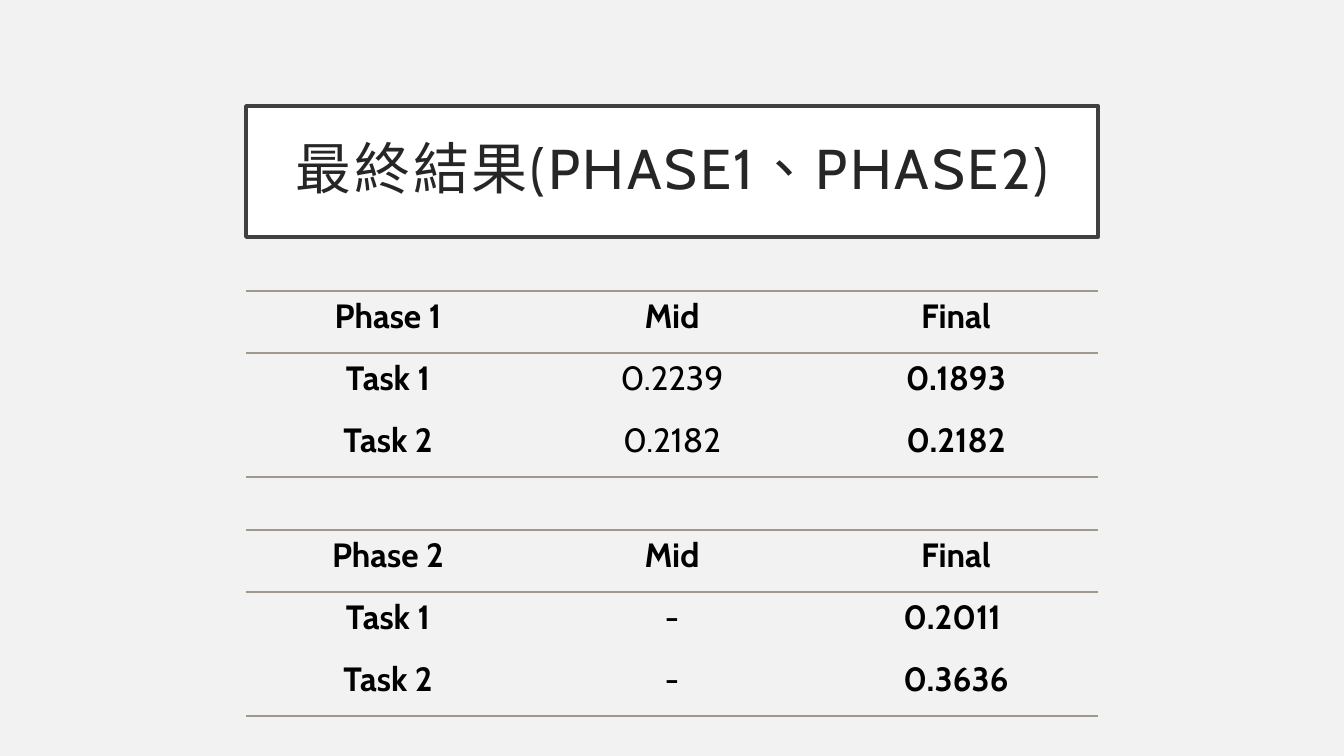
"""Builds the final results slide with a score table for each phase."""
import pptx
import pptx.dml.color
import pptx.enum.shapes
import pptx.enum.text
import pptx.oxml
import pptx.oxml.ns
import pptx.util

PX = 914400 / 100.8
BACKGROUND = pptx.dml.color.RGBColor(0xF2, 0xF2, 0xF2)
WHITE = pptx.dml.color.RGBColor(0xFF, 0xFF, 0xFF)
FRAME = pptx.dml.color.RGBColor(0x40, 0x40, 0x40)
TITLE_INK = pptx.dml.color.RGBColor(0x26, 0x26, 0x26)
BLACK = pptx.dml.color.RGBColor(0x00, 0x00, 0x00)
RULE = pptx.dml.color.RGBColor(0xA0, 0x98, 0x8C)
PLAIN_STYLE = "{2D5ABB26-0587-4C30-8999-92F81FD0307C}"
LEFT, WIDTH, ROW_HEIGHT = 246, 852, 62
PHASES = [
    (291, [("Phase 1", "Mid", "Final"),
           ("Task 1", "0.2239", "0.1893"),
           ("Task 2", "0.2182", "0.2182")]),
    (530, [("Phase 2", "Mid", "Final"),
           ("Task 1", "-", "0.2011 "),
           ("Task 2", "-", "0.3636")]),
]


def px(*lengths):
    return [pptx.util.Emu(round(length * PX)) for length in lengths]


def add_text(para, text, size, color, bold=False):
    para.alignment = pptx.enum.text.PP_ALIGN.CENTER
    span = para.add_run()
    span.text = text
    span.font.name = "Cabin"
    span.font.size = pptx.util.Pt(size)
    span.font.bold = bold
    span.font.color.rgb = color
    return span


deck = pptx.Presentation()
deck.slide_width, deck.slide_height = px(1344, 756)
page = deck.slides.add_slide(deck.slide_layouts[6])
page.background.fill.solid()
page.background.fill.fore_color.rgb = BACKGROUND

title = page.shapes.add_shape(
    pptx.enum.shapes.MSO_SHAPE.RECTANGLE, *px(LEFT, 106, WIDTH, 131))
title.shadow.inherit = False
title.fill.solid()
title.fill.fore_color.rgb = WHITE
title.line.color.rgb = FRAME
title.line.width = pptx.util.Pt(2.5)
frame = title.text_frame
frame.word_wrap = True
frame.vertical_anchor = pptx.enum.text.MSO_ANCHOR.MIDDLE
frame.margin_left, frame.margin_top, frame.margin_right, frame.margin_bottom = px(20, 20, 20, 20)
para = frame.paragraphs[0]
para.line_spacing = 0.9
span = add_text(para, "最終結果(PHASE1、PHASE2)", 40, TITLE_INK)
span._r.get_or_add_rPr().set("spc", "200")
span._r.get_or_add_rPr().set("lang", "zh-TW")

for top, rows in PHASES:
    graphic = page.shapes.add_table(
        len(rows), 3, *px(LEFT, top, WIDTH, ROW_HEIGHT * len(rows)))
    table = graphic.table
    table._tbl.tblPr.find(pptx.oxml.ns.qn("a:tableStyleId")).text = PLAIN_STYLE
    table.horz_banding = False
    for column in table.columns:
        column.width = px(WIDTH / 3)[0]
    for row_index, values in enumerate(rows):
        table.rows[row_index].height = px(ROW_HEIGHT)[0]
        edges = {0: ("lnT", "lnB"), len(rows) - 1: ("lnB",)}.get(row_index, ())
        for column_index, value in enumerate(values):
            cell = table.cell(row_index, column_index)
            bold = row_index == 0 or column_index != 1
            add_text(cell.text_frame.paragraphs[0], value, 24, BLACK, bold)
            for edge in edges:
                cell._tc.get_or_add_tcPr().append(pptx.oxml.parse_xml(
                    f'<a:{edge} {pptx.oxml.ns.nsdecls("a")} w="12700"><a:solidFill>'
                    f'<a:srgbClr val="{RULE}"/></a:solidFill></a:{edge}>'))
            cell.fill.background()

deck.save("out.pptx")
